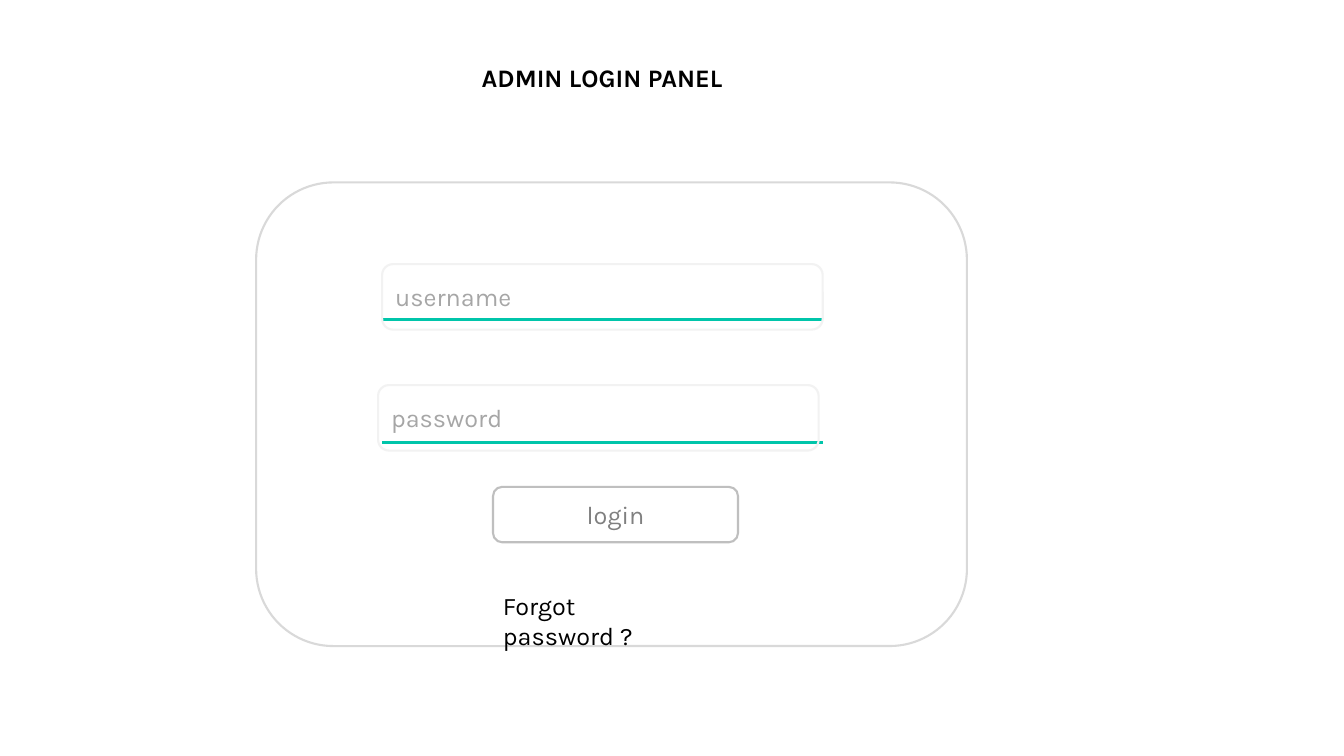
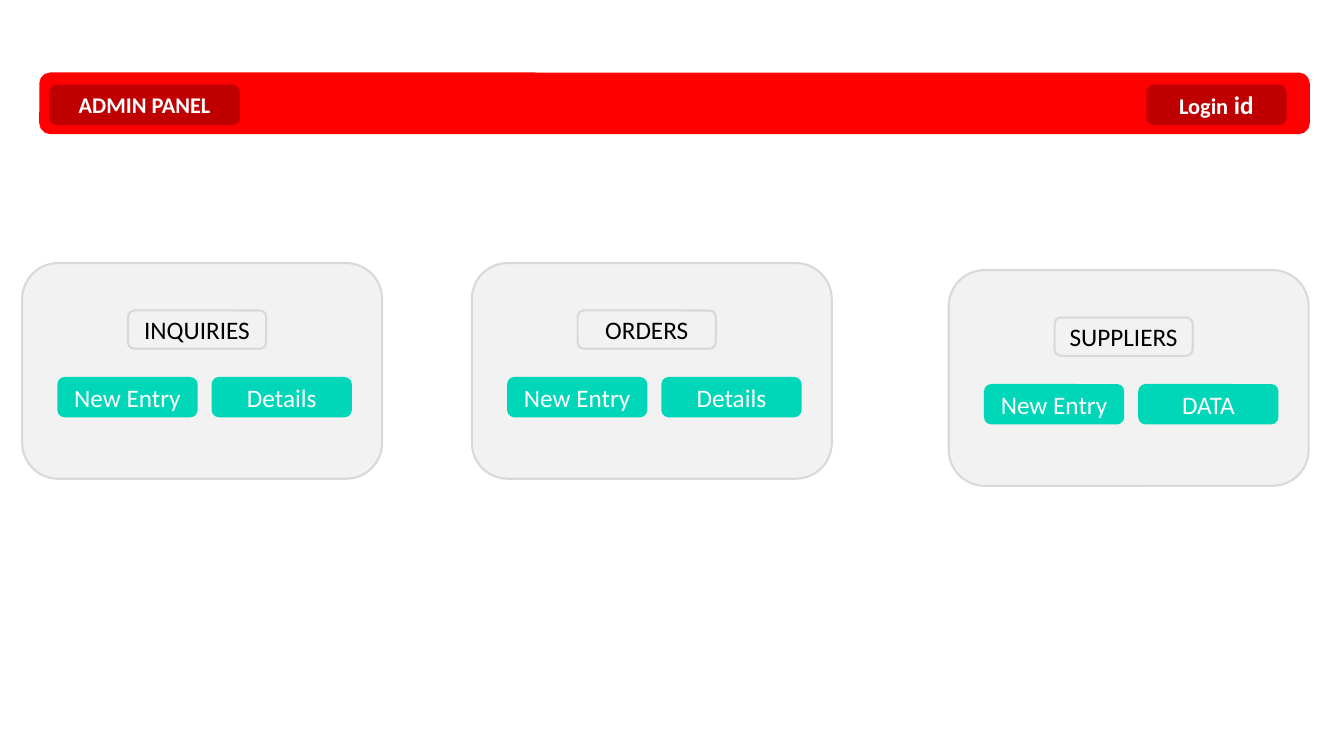
from dataclasses import dataclass

from lxml.etree import SubElement
from pptx import Presentation
from pptx.dml.color import RGBColor
from pptx.enum.shapes import MSO_CONNECTOR, MSO_SHAPE
from pptx.enum.text import MSO_ANCHOR as Anchor, PP_ALIGN as Align
from pptx.oxml.ns import qn
from pptx.util import Inches, Pt

BLACK, WHITE = "000000", "FFFFFF"
PALE, LIGHT, SILVER, HINT, GRAY = "F2F2F2", "D9D9D9", "BFBFBF", "A6A6A6", "808080"
TEAL, TURQUOISE, RED, DARK_RED = "00C5AA", "00D7B9", "FF0000", "C00000"
LOGIN_FONT, PANEL_FONT = "Karla", "Calibri"
LINE_WIDTH = Pt(1.5)
BUTTON_WIDTH, BUTTON_HEIGHT = 1.37, 0.38


@dataclass(frozen=True)
class Span:
    text: str
    size: int = 18


@dataclass(frozen=True)
class Card:
    left: float
    top: float
    title: str
    actions: tuple[str, str]


@dataclass(frozen=True)
class Field:
    left: float
    top: float
    hint: str
    rule_top: float


FIELDS = (
    Field(3.79, 2.62, "username", 3.17),
    Field(3.75, 3.82, "password", 4.39),
)
CARDS = (
    Card(0.22, 2.61, "INQUIRIES", ("New Entry", "Details")),
    Card(4.68, 2.61, "ORDERS", ("New Entry", "Details")),
    Card(9.41, 2.68, "SUPPLIERS", ("New Entry", "DATA")),
)


def color(value: str) -> RGBColor:
    return RGBColor.from_string(value)


def write(frame, *spans: Span, font: str = PANEL_FONT, ink: str = BLACK,
          bold: bool = False, align=Align.CENTER, anchor=Anchor.MIDDLE,
          wrap: bool = True) -> None:
    """Fill a text frame with one paragraph made of the given spans."""
    frame.word_wrap = wrap
    frame.vertical_anchor = anchor
    para = frame.paragraphs[0]
    para.alignment = align
    for span in spans:
        run = para.add_run()
        run.text = span.text
        run.font.name = font
        run.font.size = Pt(span.size)
        run.font.bold = bold
        run.font.color.rgb = color(ink)


def add_box(shapes, left: float, top: float, width: float, height: float,
            line: str, fill: str | None = None):
    """Add a rounded box and return it."""
    box = shapes.add_shape(MSO_SHAPE.ROUNDED_RECTANGLE, Inches(left), Inches(top),
                           Inches(width), Inches(height))
    box.shadow.inherit = False
    if fill:
        box.fill.solid()
        box.fill.fore_color.rgb = color(fill)
    else:
        box.fill.background()
    box.line.color.rgb = color(line)
    box.line.width = LINE_WIDTH
    return box


def add_text(shapes, left: float, top: float, width: float, text: str,
             **formats) -> None:
    box = shapes.add_textbox(Inches(left), Inches(top), Inches(width), Inches(0.4))
    write(box.text_frame, Span(text), font=LOGIN_FONT, align=Align.LEFT,
          anchor=Anchor.TOP, **formats)


def add_rule(shapes, left: float, right: float, top: float) -> None:
    rule = shapes.add_connector(MSO_CONNECTOR.STRAIGHT, Inches(left), Inches(top),
                                Inches(right), Inches(top))
    rule.line.color.rgb = color(TEAL)
    rule.line.width = LINE_WIDTH
    SubElement(rule._element.spPr, qn("a:effectLst"))


def add_field(shapes, field: Field) -> None:
    add_rule(shapes, 3.79, 8.16, field.rule_top)
    box = add_box(shapes, field.left, field.top, 4.37, 0.65, PALE)
    write(box.text_frame, Span(field.hint), font=LOGIN_FONT, ink=HINT, align=Align.LEFT)


def add_card(shapes, card: Card) -> None:
    group = shapes.add_group_shape().shapes
    add_box(group, card.left, card.top, 3.57, 2.14, LIGHT, PALE)
    for index, action in enumerate(card.actions):
        button = add_box(group, card.left + 0.36 + index * 1.53, card.top + 1.14,
                         BUTTON_WIDTH, BUTTON_HEIGHT, TURQUOISE, TURQUOISE)
        write(button.text_frame, Span(action), ink=WHITE)
    title = add_box(group, card.left + 1.05, card.top + 0.47,
                    BUTTON_WIDTH, BUTTON_HEIGHT, LIGHT)
    write(title.text_frame, Span(card.title))


def add_header(shapes) -> None:
    group = shapes.add_group_shape().shapes
    add_box(group, 0.4, 0.73, 12.58, 0.59, RED, RED)
    for left, width, spans in (
        (11.38, BUTTON_WIDTH, (Span("Login", 16), Span(" id"))),
        (0.5, 1.87, (Span("ADMIN PANEL", 16),)),
    ):
        badge = add_box(group, left, 0.85, width, BUTTON_HEIGHT, DARK_RED, DARK_RED)
        write(badge.text_frame, *spans, ink=WHITE, bold=True)


def build_login(page) -> None:
    shapes = page.shapes
    add_box(shapes, 2.54, 1.81, 7.05, 4.6, LIGHT)
    for field in FIELDS:
        add_field(shapes, field)
    button = add_box(shapes, 4.89, 4.83, 2.43, 0.55, SILVER)
    write(button.text_frame, Span("login"), font=LOGIN_FONT, ink=GRAY)
    add_text(shapes, 4.89, 5.81, 2.18, "Forgot password ?")
    add_text(shapes, 4.68, 0.57, 2.6, "ADMIN LOGIN PANEL", bold=True, wrap=False)


def build_panel(page) -> None:
    add_header(page.shapes)
    for card in CARDS:
        add_card(page.shapes, card)


def main() -> None:
    deck = Presentation()
    deck.slide_width, deck.slide_height = Inches(13.33), Inches(7.5)
    for build in (build_login, build_panel):
        build(deck.slides.add_slide(deck.slide_layouts[6]))
    deck.save("out.pptx")


if __name__ == "__main__":
    main()
